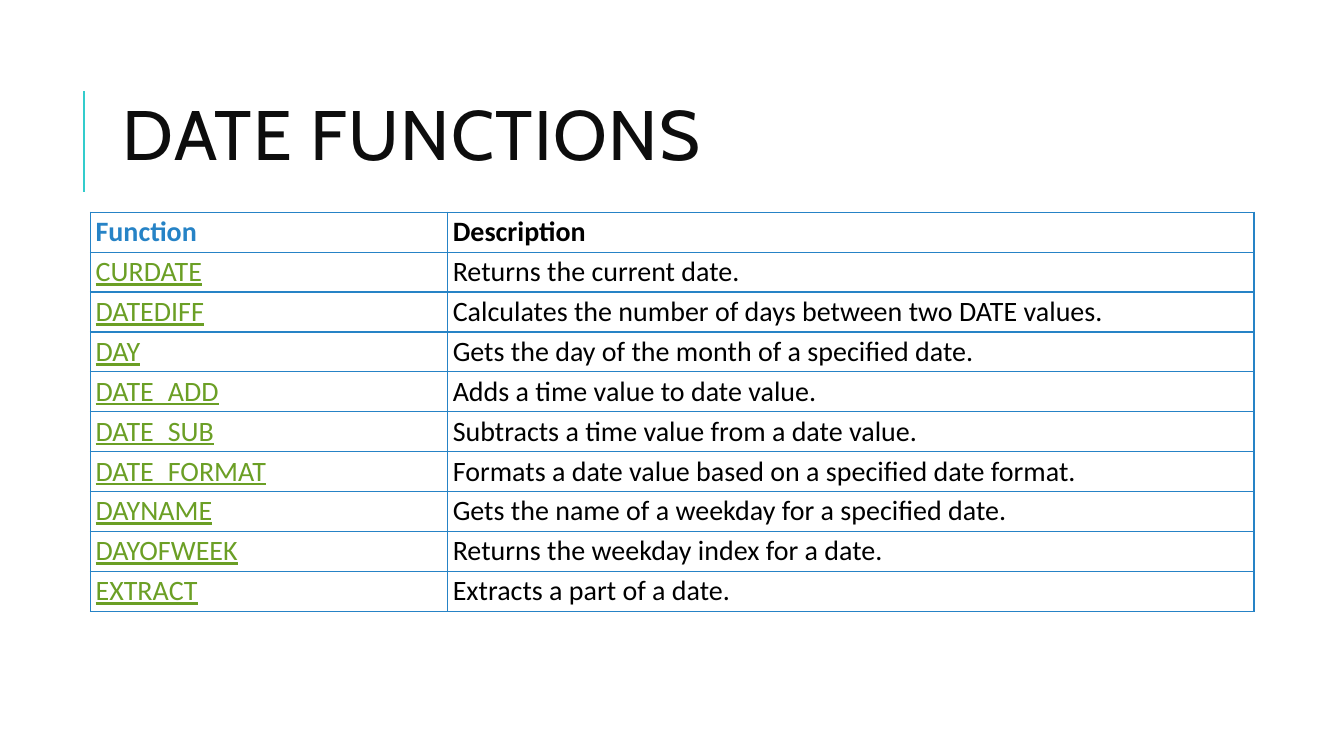
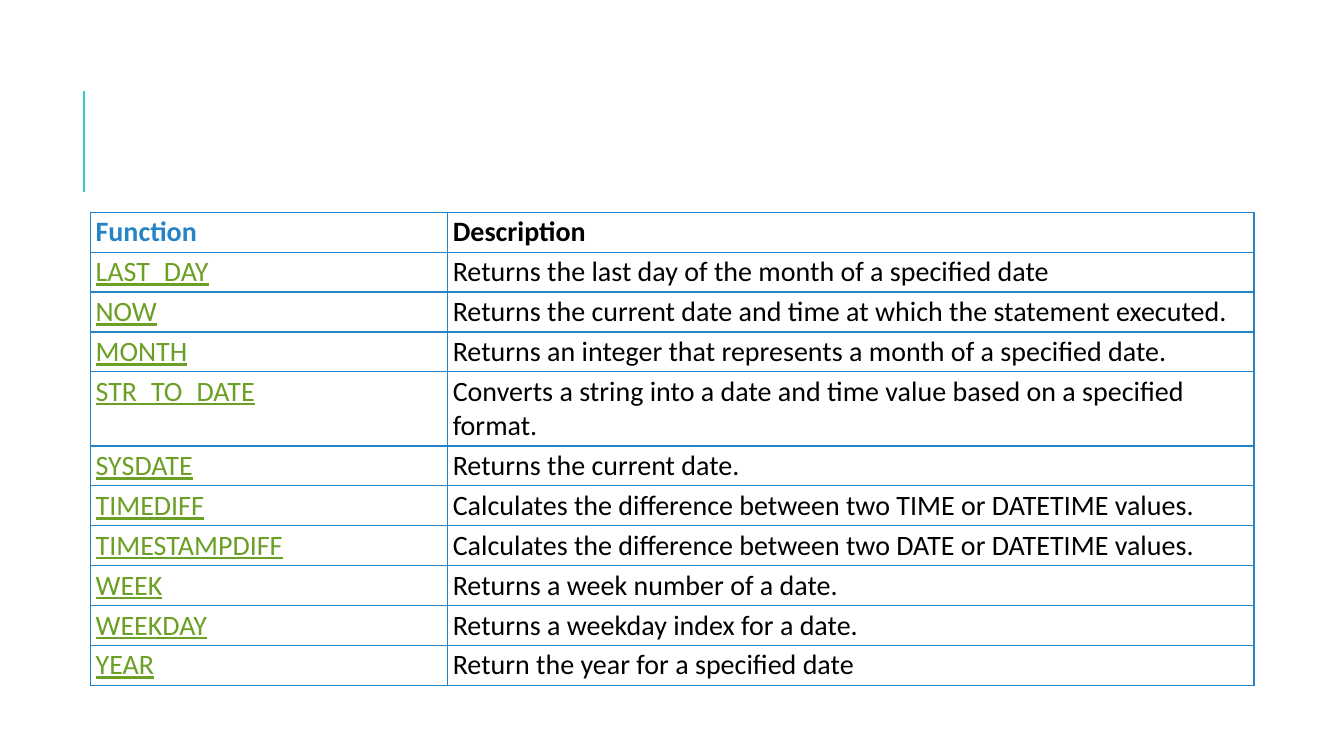
from lxml import etree
from pptx import Presentation
from pptx import util as u
from pptx.dml.color import RGBColor
from pptx.enum import shapes, text
from pptx.oxml import ns

ACCENT, BORDER, LINK = "33CCCC", "2683C6", "6B9F25"
TITLE_COLOR, BODY_COLOR = "0D0D0D", "000000"
TITLE_FONT, BODY_FONT = "Cabin", "Calibri"
TITLE_ONLY, BLANK = 5, 6

TITLE_BOX = (2.84, 2.26, 27, 2.57)
TABLE_LEFT, TABLE_TOP = 2.28, 5.35
COLUMNS = (9, 20.32)
ROW_HEIGHT = 1

HEADER = ("Function", "Description")
DATE_FUNCTIONS = [
    ("CURDATE", "Returns the current date."),
    ("DATEDIFF", "Calculates the number of days between two DATE values."),
    ("DAY", "Gets the day of the month of a specified date."),
    ("DATE_ADD", "Adds a time value to date value."),
    ("DATE_SUB", "Subtracts a time value from a date value."),
    ("DATE_FORMAT", "Formats a date value based on a specified date format."),
    ("DAYNAME", "Gets the name of a weekday for a specified date."),
    ("DAYOFWEEK", "Returns the weekday index for a date."),
    ("EXTRACT", "Extracts a part of a date."),
]
MORE_FUNCTIONS = [
    ("LAST_DAY", "Returns the last day of the month of a specified date"),
    ("NOW", "Returns the current date and time at which the statement executed."),
    ("MONTH", "Returns an integer that represents a month of a specified date."),
    ("STR_TO_DATE", "Converts a string into a date and time value based on a specified format."),
    ("SYSDATE", "Returns the current date."),
    ("TIMEDIFF", "Calculates the difference between two TIME or DATETIME values."),
    ("TIMESTAMPDIFF", "Calculates the difference between two DATE or DATETIME values."),
    ("WEEK", "Returns a week number of a date."),
    ("WEEKDAY", "Returns a weekday index for a date."),
    ("YEAR", "Return the year for a specified date"),
]


def rgb(color):
    return RGBColor.from_string(color)


def add_run(p, content, font, size, color, bold=False, underline=False):
    r = p.add_run()
    r.text = content
    r.font.name, r.font.size = font, u.Pt(size)
    r.font.bold, r.font.underline = bold, underline
    r.font.color.rgb = rgb(color)
    return r


def add_accent_line(s, x, top, bottom):
    line = s.shapes.add_connector(shapes.MSO_CONNECTOR.STRAIGHT,
                                  u.Cm(x), u.Cm(bottom), u.Cm(x), u.Cm(top))
    line.line.color.rgb = rgb(ACCENT)
    line.line.width = u.Pt(1.5)
    etree.SubElement(line._element.spPr, ns.qn("a:effectLst"))


def set_title(s, title, box):
    sp = s.shapes.title
    sp.left, sp.top, sp.width, sp.height = (u.Cm(v) for v in box)
    tf = sp.text_frame
    tf.word_wrap = True
    tf.auto_size = text.MSO_AUTO_SIZE.NONE
    tf.vertical_anchor = text.MSO_ANCHOR.MIDDLE
    p = tf.paragraphs[0]
    p.alignment = text.PP_ALIGN.LEFT
    p.line_spacing = 0.8
    r = add_run(p, title, TITLE_FONT, 50, TITLE_COLOR)
    r.font._element.set("spc", "100")


def set_borders(cell, color, width):
    tcPr = cell._tc.get_or_add_tcPr()
    for side in ("lnL", "lnR", "lnT", "lnB"):
        ln = etree.SubElement(tcPr, ns.qn(f"a:{side}"), w=str(u.Pt(width)))
        fill = etree.SubElement(ln, ns.qn("a:solidFill"))
        etree.SubElement(fill, ns.qn("a:srgbClr"), val=color)


def fill_cell(cell, content, color, bold, underline):
    set_borders(cell, BORDER, 1)
    cell.fill.background()
    cell.margin_left = cell.margin_right = u.Cm(0.13)
    cell.margin_top = cell.margin_bottom = u.Cm(0.07)
    add_run(cell.text_frame.paragraphs[0], content, BODY_FONT, 20, color, bold, underline)


def add_function_table(s, functions, left, top):
    rows = [HEADER] + functions
    table = s.shapes.add_table(len(rows), len(COLUMNS), u.Cm(left), u.Cm(top),
                               u.Cm(sum(COLUMNS)), u.Cm(ROW_HEIGHT * len(rows))).table
    table.first_row = table.horz_banding = False
    for column, width in zip(table.columns, COLUMNS):
        column.width = u.Cm(width)
    for i, (name, description) in enumerate(rows):
        header = i == 0
        fill_cell(table.cell(i, 0), name, BORDER if header else LINK, header, not header)
        fill_cell(table.cell(i, 1), description, BODY_COLOR, header, False)


def add_function_slide(prs, functions, title=None):
    s = prs.slides.add_slide(prs.slide_layouts[TITLE_ONLY if title else BLANK])
    add_accent_line(s, 2.11, 2.3, 4.83)
    if title:
        set_title(s, title, TITLE_BOX)
    add_function_table(s, functions, TABLE_LEFT, TABLE_TOP)


def main():
    prs = Presentation()
    prs.slide_width, prs.slide_height = u.Cm(33.87), u.Cm(19.05)
    add_function_slide(prs, DATE_FUNCTIONS, "DATE FUNCTIONS")
    add_function_slide(prs, MORE_FUNCTIONS)
    prs.save("out.pptx")


if __name__ == "__main__":
    main()
